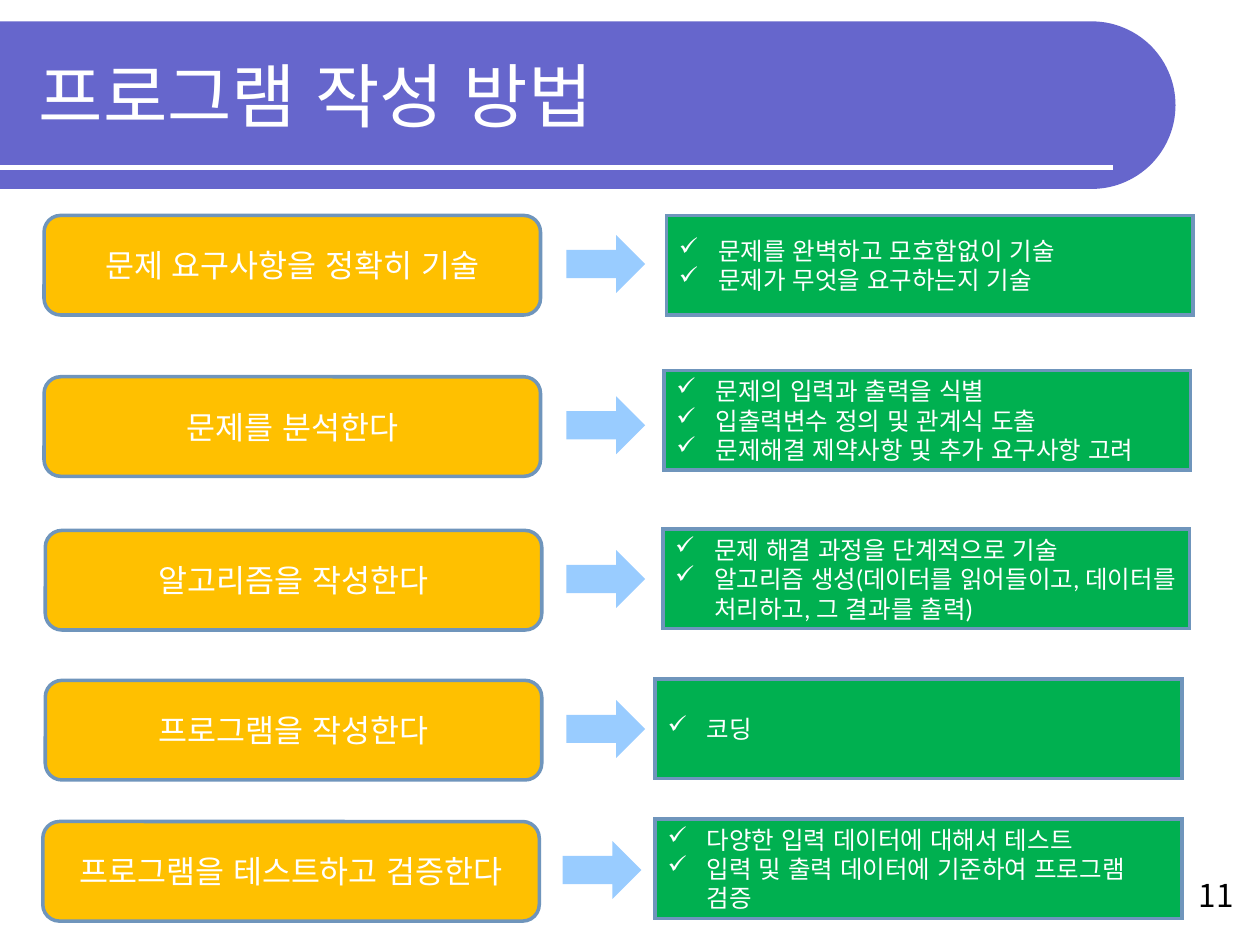
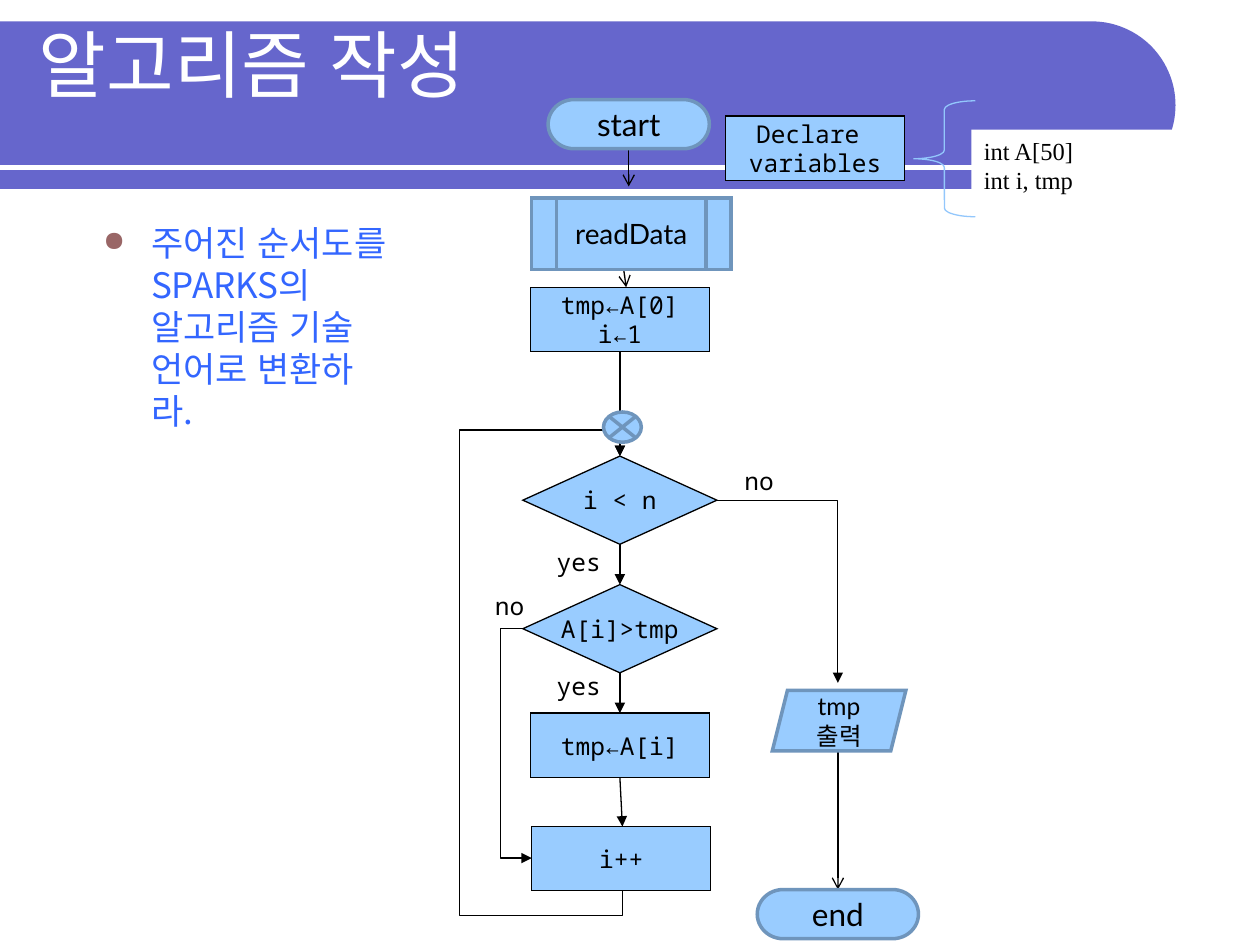
"""Build two slides on writing programs: the method and a flowchart."""
from math import cos, pi, sin

from lxml import etree
from pptx import Presentation
from pptx import util as u
from pptx.dml.color import RGBColor
from pptx.enum import lang, shapes, text
from pptx.oxml import ns

COLORS = {
    "band": "6666CC", "white": "FFFFFF", "black": "000000", "step": "FFC000",
    "detail": "00B050", "edge": "6F95BC", "sky": "99CCFF", "brace": "93C7FC",
    "bullet": "996666", "body": "3366FF",
}
KOREAN, SANS = "Noto Sans CJK KR", "Lato"
MONO, SERIF = "Noto Sans Mono", "Times New Roman"
KIND = shapes.MSO_SHAPE
LEFT, CENTER, RIGHT = text.PP_ALIGN.LEFT, text.PP_ALIGN.CENTER, text.PP_ALIGN.RIGHT
TOP, MIDDLE = text.MSO_ANCHOR.TOP, text.MSO_ANCHOR.MIDDLE
FLOW_BOX = (3.5, 0.5, 5.95, 6.95)

STEPS = [
    ((0.35, 1.71), (5.29, 1.71), 4.51, "문제 요구사항을 정확히 기술",
     ["문제를 완벽하고 모호함없이 기술", "문제가 무엇을 요구하는지 기술"]),
    ((0.35, 2.99), (5.27, 2.94), 4.51, "문제를 분석한다",
     ["문제의 입력과 출력을 식별", "입출력변수 정의 및 관계식 도출",
      "문제해결 제약사항 및 추가 요구사항 고려"]),
    ((0.36, 4.21), (5.26, 4.2), 4.51, "알고리즘을 작성한다",
     ["문제 해결 과정을 단계적으로 기술",
      "알고리즘 생성(데이터를 읽어들이고, 데이터를 처리하고, 그 결과를 출력)"]),
    ((0.36, 5.4), (5.2, 5.39), 4.51, "프로그램을 작성한다", ["코딩"]),
    ((0.34, 6.52), (5.2, 6.5), 4.48, "프로그램을 테스트하고 검증한다",
     ["다양한 입력 데이터에 대해서 테스트",
      "입력 및 출력 데이터에 기준하여 프로그램 검증"]),
]


def color(name):
    """Return the named colour."""
    return RGBColor.from_string(COLORS[name])


def add_child(parent, tag, **attributes):
    """Append a DrawingML element with the given attributes."""
    return etree.SubElement(parent, ns.qn(f"a:{tag}"), attributes)


def write(shape, lines, size, font, ink, align=LEFT, anchor=TOP, wrap=True):
    """Fill a shape with formatted paragraphs."""
    frame = shape.text_frame
    frame.text = "\n".join(lines)
    frame.word_wrap = wrap
    frame.vertical_anchor = anchor
    for paragraph in frame.paragraphs:
        paragraph.alignment = align
        for run in paragraph.runs:
            run.font.size = u.Pt(size)
            run.font.name = font
            run.font.color.rgb = color(ink)
            run.font.language_id = lang.MSO_LANGUAGE_ID.KOREAN
            add_child(run.font._element, "ea", typeface=KOREAN)


def add_bullets(shape, mark, ink, indent, percent=100):
    """Give every paragraph of a shape a hanging bullet."""
    for paragraph in shape.text_frame.paragraphs:
        properties = paragraph._p.get_or_add_pPr()
        properties.set("marL", str(u.Inches(indent)))
        properties.set("indent", str(u.Inches(-indent)))
        properties.set("hangingPunct", "0")
        add_child(add_child(properties, "buClr"), "srgbClr", val=COLORS[ink])
        add_child(properties, "buSzPct", val=str(percent * 1000))
        add_child(properties, "buChar", char=mark)


def add_text(slide, box, lines, *style, **options):
    """Add a text box and return it."""
    shape = slide.shapes.add_textbox(*map(u.Inches, box))
    write(shape, lines, *style, **options)
    return shape


def paint(shape, fill, line=None, width=2):
    """Set the fill and outline of a shape and remove its shadow."""
    shape.shadow.inherit = False
    if fill:
        shape.fill.solid()
        shape.fill.fore_color.rgb = color(fill)
    else:
        shape.fill.background()
    if line:
        shape.line.color.rgb = color(line)
        shape.line.width = u.Pt(width)
        add_child(shape.line._get_or_add_ln(), "miter", lim="800000")
    else:
        shape.line.fill.background()


def add_shape(slide, kind, box, fill, line=None, width=2):
    """Add a painted preset shape and return it."""
    shape = slide.shapes.add_shape(kind, *map(u.Inches, box))
    paint(shape, fill, line, width)
    return shape


def add_line(slide, start, end, head=None, ink="black", width=0.75,
             preset="line", adjustments=(), rotation=0):
    """Add a straight or bent connector with an optional arrowhead."""
    kinds = shapes.MSO_CONNECTOR
    kind = kinds.STRAIGHT if preset == "line" else kinds.ELBOW
    connector = slide.shapes.add_connector(kind, *map(u.Inches, (*start, *end)))
    connector.line.color.rgb = color(ink)
    connector.line.width = u.Pt(width)
    properties = connector._element.spPr
    if head:
        add_child(connector.line._get_or_add_ln(), "tailEnd", type=head)
    add_child(properties, "effectLst")
    geometry = properties.find(ns.qn("a:prstGeom"))
    geometry.set("prst", preset)
    guides = geometry.find(ns.qn("a:avLst"))
    for number, value in enumerate(adjustments, 1):
        add_child(guides, "gd", name=f"adj{number}", fmla=f"val {round(value * 100000)}")
    if rotation:
        properties.find(ns.qn("a:xfrm")).set("rot", str(rotation * 60000))


def add_header(slide, box, title, title_box, size):
    """Draw the round-ended band, its white rule and the title."""
    left, top, width, height = box
    radius = height / 2
    middle, center = top + radius, left + width - radius
    angles = [pi * step / 60 - pi / 2 for step in range(61)]
    arc = [(u.Inches(center + radius * cos(a)), u.Inches(middle + radius * sin(a)))
           for a in angles]
    builder = slide.shapes.build_freeform(u.Inches(left), u.Inches(top))
    builder.add_line_segments([*arc, (u.Inches(left), u.Inches(top + height))])
    paint(builder.convert_to_shape(), "band")
    rule = top + height - 0.17
    add_line(slide, (left, rule), (left + width - 0.5, rule), ink="white", width=3)
    add_text(slide, title_box, [title], size, KOREAN, "white", anchor=MIDDLE)


def add_step(slide, step_at, detail_at, arrow_left, step, details):
    """Draw one step, its arrow and its list of details."""
    box = add_shape(slide, KIND.ROUNDED_RECTANGLE, (*step_at, 3.94, 0.79), "step", "edge")
    write(box, [step], 18, SANS, "white", CENTER, MIDDLE)
    panel = add_shape(slide, KIND.RECTANGLE, (*detail_at, 4.18, 0.79), "detail", "edge")
    write(panel, details, 14, SANS, "white", anchor=MIDDLE)
    add_bullets(panel, "✓", "white", 0.31)
    arrow_box = (arrow_left, step_at[1] + 0.19, 0.59, 0.39)
    add_shape(slide, KIND.RIGHT_ARROW, arrow_box, "sky", "sky")


def add_flowchart(slide, box):
    """Draw the flowchart that finds the largest value."""
    left, top = box[:2]

    def at(x, y):
        """Shift a point into the region."""
        return left + x, top + y

    process, decision = KIND.FLOWCHART_PROCESS, KIND.FLOWCHART_DECISION
    terminator = KIND.FLOWCHART_TERMINATOR
    process_size, decision_size, end_size = (1.42, 0.51), (1.54, 0.7), (1.28, 0.39)

    straight = [
        ((1.42, 2.29), (1.42, 3.12), "triangle"),
        ((1.42, 3.82), (1.42, 4.14), "triangle"),
        ((1.42, 4.84), (1.42, 5.16), "triangle"),
        ((1.42, 5.67), (1.44, 6.06), "triangle"),
        ((3.15, 5.46), (3.15, 6.56), "arrow"),
        ((1.49, 0.68), (1.49, 0.98), "arrow"),
        ((1.45, 1.64), (1.47, 1.78), "arrow"),
    ]
    for start, end, head in straight:
        add_line(slide, at(*start), at(*end), head)

    bent = [
        ((0.65, 4.49), (0.72, 6.31), "bentConnector3", [-2.57], 0),
        ((2.19, 3.47), (3.15, 4.92), "bentConnector2", [], 0),
        ((-0.29, 4.85), (3.15, 4.83), "bentConnector5", [-0.06, 64.5, 1.06], 270),
    ]
    for start, end, preset, adjustments, rotation in bent:
        add_line(slide, at(*start), at(*end), "triangle", preset=preset,
                 adjustments=adjustments, rotation=rotation)

    code_nodes = [
        (process, (0.71, 1.78), process_size, ["tmp←A[0]", "i←1"]),
        (decision, (0.65, 3.12), decision_size, ["i < n"]),
        (decision, (0.65, 4.14), decision_size, ["A[i]>tmp"]),
        (process, (0.71, 5.16), process_size, ["tmp←A[i]"]),
        (process, (0.72, 6.06), process_size, ["i++"]),
        (process, (2.26, 0.42), process_size, ["Declare ", "variables"]),
    ]
    for kind, place, size, lines in code_nodes:
        node = add_shape(slide, kind, (*at(*place), *size), "sky", "black", 0.75)
        write(node, lines, 14, MONO, "black", CENTER, MIDDLE, wrap=False)

    plain_nodes = [
        (terminator, (0.85, 0.29), end_size, "start", 18),
        (terminator, (2.51, 6.56), end_size, "end", 18),
        (KIND.PARALLELOGRAM, (2.63, 4.98), (1.06, 0.48), "tmp 출력", 14),
        (KIND.FLOWCHART_PREDEFINED_PROCESS, (0.72, 1.07), (1.58, 0.57), "readData", 16),
    ]
    for kind, place, size, label, points in plain_nodes:
        node = add_shape(slide, kind, (*at(*place), *size), "sky", "edge")
        write(node, [label], points, SANS, "black", CENTER, MIDDLE)
    junction_box = (*at(1.29, 2.77), 0.3, 0.24)
    add_shape(slide, KIND.FLOWCHART_SUMMING_JUNCTION, junction_box, "sky", "edge")

    for label, x, y in [("no", 2.31, 3.15), ("yes", 0.82, 3.79),
                        ("no", 0.33, 4.14), ("yes", 0.82, 4.78)]:
        add_text(slide, (*at(x, y), 0.55, 0.34), [label], 14, MONO, "black", wrap=False)

    brace = add_shape(slide, KIND.LEFT_BRACE, (*at(3.75, 0.3), 0.49, 0.92),
                      None, "brace", 0.75)
    brace.adjustments[0] = 0.14
    note = add_shape(slide, KIND.RECTANGLE, (*at(4.21, 0.53), 1.74, 0.57), "white")
    write(note, ["int A[50]", "int i, tmp"], 14, SERIF, "black")


def build_method_slide(slide, band_box):
    """Build the slide of the five steps."""
    add_header(slide, band_box, "프로그램 작성 방법", (0.21, 0.25, 8.77, 1), 40)
    for step in STEPS:
        add_step(slide, *step)
    add_text(slide, (7.56, 6.9, 2.33, 0.52), ["11"], 18, KOREAN, "black", RIGHT)


def build_algorithm_slide(slide, band_box):
    """Build the slide of the task and its flowchart."""
    add_header(slide, band_box, "알고리즘 작성", (0.21, 0.25, 7.2, 0.5), 42)
    task = add_text(slide, (0.72, 1.71, 2.51, 5.23),
                    ["주어진 순서도를 SPARKS의 알고리즘 기술 언어로 변환하라."],
                    20, KOREAN, "body")
    add_bullets(task, "●", "bullet", 0.38, 80)
    task.text_frame.paragraphs[0].space_before = u.Pt(5)
    add_flowchart(slide, FLOW_BOX)


def main():
    """Create the presentation and save it."""
    presentation = Presentation()
    presentation.slide_width, presentation.slide_height = u.Inches(10), u.Inches(7.5)
    for build in (build_method_slide, build_algorithm_slide):
        slide = presentation.slides.add_slide(presentation.slide_layouts[6])
        build(slide, (0, 0.17, 9.33, 1.33))
    presentation.save("out.pptx")


if __name__ == "__main__":
    main()
